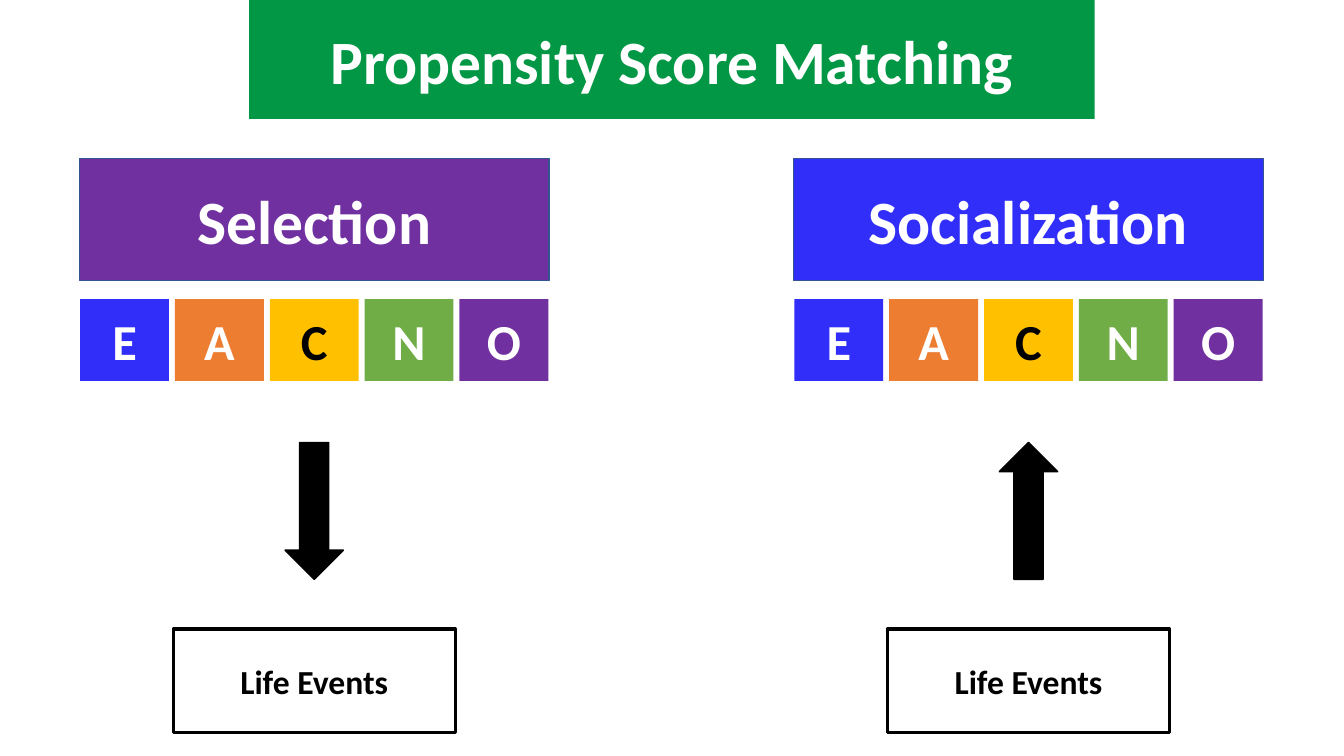
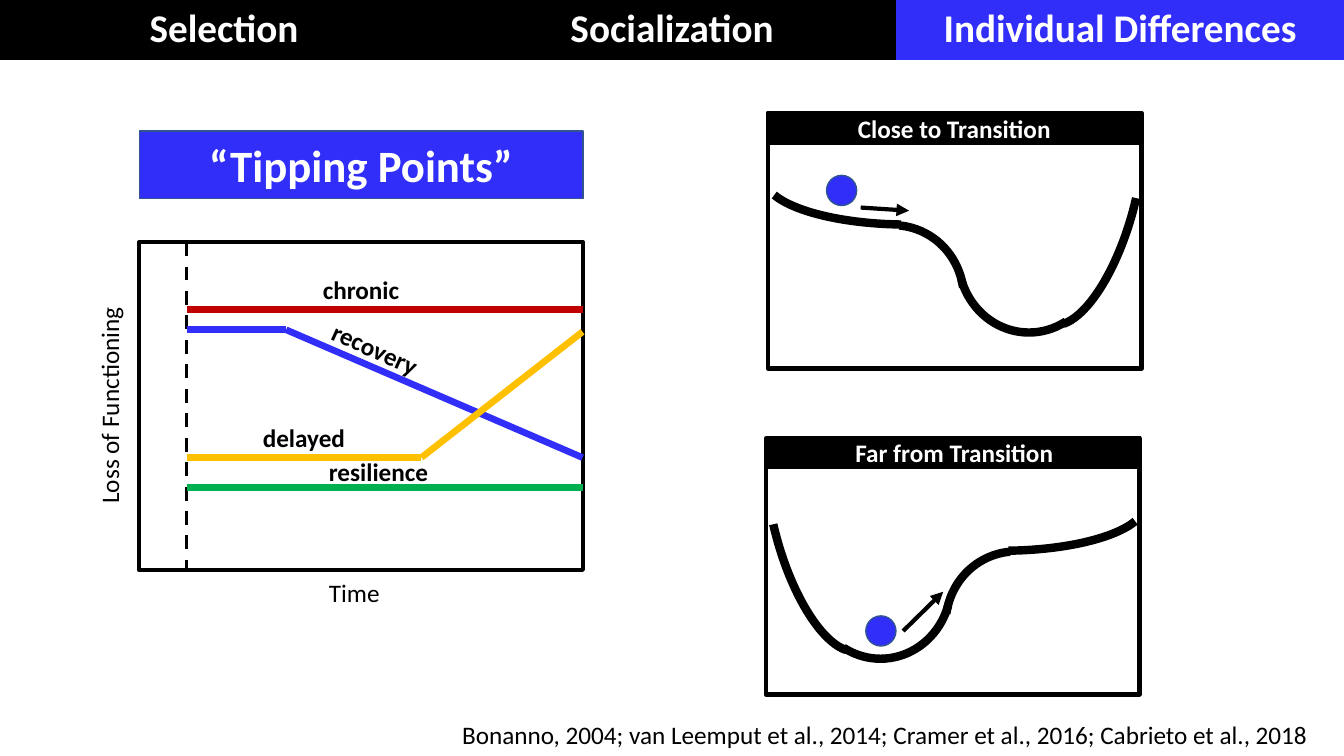
"""Build two slides on life events: score matching and tipping points."""
from lxml.etree import SubElement
from pptx import Presentation
from pptx.dml.color import RGBColor
from pptx.enum.dml import MSO_LINE_DASH_STYLE as Dash
from pptx.enum.shapes import MSO_CONNECTOR as Link, MSO_SHAPE as Form
from pptx.enum.text import MSO_ANCHOR as Anchor, PP_ALIGN as Align
from pptx.oxml.ns import qn
from pptx.util import Cm, Pt

WIDE, HIGH = 33.87, 19.05
FONT = "Calibri"
BLACK, WHITE, EDGE = "000000", "FFFFFF", "325491"
BLUE, PURPLE, ORANGE, GOLD = "302EF8", "7030A0", "ED7D31", "FFC000"
LEAF, GREEN, RED, TEAL = "70AD47", "029745", "C00000", "00B050"

TITLE = "Propensity Score Matching"
PATHS = [
    (2, "Selection", PURPLE, Form.DOWN_ARROW),
    (20, "Socialization", BLUE, Form.UP_ARROW),
]
TRAITS = [("E", BLUE, WHITE), ("A", ORANGE, WHITE), ("C", GOLD, BLACK),
          ("N", LEAF, WHITE), ("O", PURPLE, WHITE)]
EVENTS = "Life Events"
COL, TILE, STEP = 11.84, 2.24, 2.39

TABS = [("Selection", BLACK), ("Socialization", BLACK),
        ("Individual Differences", BLUE)]
TOPIC = "“Tipping Points”"
PLOT = (3.51, 6.1, 11.18, 8.26)
START, END = 4.7, 14.68
CURVES = [
    (RED, [(START, 7.8), (END, 7.8)]),
    (BLUE, [(START, 8.31), (7.21, 8.31), (END, 11.53)]),
    (TEAL, [(START, 12.29), (END, 12.29)]),
    (GOLD, [(START, 11.53), (10.62, 11.53), (END, 8.36)]),
]
LABELS = [("chronic", 7.59, 6.78, 0), ("recovery", 7.95, 8.28, 24.5),
          ("resilience", 8.03, 11.38, 0), ("delayed", 6.15, 10.52, 0)]
NOTES = [
    ("Bonanno, 2004; van Leemput et al., 2014; Cramer et al., 2016; "
     "Cabrieto et al., 2018", (11.4, 18.01, 22.45, 1.02), 0, Align.LEFT),
    ("Loss of Functioning", (-1.68, 8, 8.86, 1.02), 270, Align.LEFT),
    ("Time", (4.5, 14.43, 8.86, 1.02), 0, Align.CENTER),
]

# Each arc: centre, size, turn, upside-down flag, start and end adjustments
ARCS = [
    (25.93, 6.5, 3.76, 3.56, 90, False, 197.91, 43.27),
    (22.47, 7.56, 3.63, 3.78, 16.1, True, 15.62, 60.1),
    (22.86, 4.48, 7.21, 2.36, 180, True, 4.46, 49.53),
    (27.34, 5.03, 6.53, 2.49, 105.4, True, 3.31, 64.24),
]
MIRROR, DROP = 48.12, 8.22
PANELS = [
    dict(name="Close to Transition", flip=False, box=(19.35, 2.84), bar=2.84,
         ball=(20.83, 4.42), push=[(21.69, 5.23), (22.91, 5.31)]),
    dict(name="Far from Transition", flip=True, box=(19.3, 11.05), bar=11,
         ball=(21.82, 15.52), push=[(22.76, 15.9), (23.77, 14.91)]),
]


def rgb(code):
    """Turn a hex string into a colour."""
    return RGBColor.from_string(code)


def write(frame, text, size, color=BLACK, bold=True, align=Align.CENTER):
    """Put one styled paragraph in a text frame."""
    frame.word_wrap = True
    para = frame.paragraphs[0]
    para.text, para.alignment = text, align
    font = para.font
    font.name, font.size, font.bold = FONT, Pt(size), bold
    font.color.rgb = rgb(color)


def shape(slide, form, at, fill=None, line=None, width=1):
    """Add a preset shape with plain fill and line."""
    item = slide.shapes.add_shape(form, *map(Cm, at))
    item.shadow.inherit = False
    if fill:
        item.fill.solid()
        item.fill.fore_color.rgb = rgb(fill)
    else:
        item.fill.background()
    if line:
        item.line.color.rgb = rgb(line)
        item.line.width = Pt(width)
    else:
        item.line.fill.background()
    return item


def block(slide, at, text, size, color=WHITE, **look):
    """Add a rectangle with centred bold text."""
    item = shape(slide, Form.RECTANGLE, at, **look)
    item.text_frame.vertical_anchor = Anchor.MIDDLE
    write(item.text_frame, text, size, color)


def label(slide, text, at, turn=0, **look):
    """Add a text box, turned if asked."""
    box = slide.shapes.add_textbox(*map(Cm, at))
    box.rotation = turn
    write(box.text_frame, text, 18, **look)


def stroke(slide, start, end, color, width):
    """Add a straight line without a shadow."""
    item = slide.shapes.add_connector(Link.STRAIGHT, *map(Cm, (*start, *end)))
    item.line.color.rgb = rgb(color)
    item.line.width = Pt(width)
    SubElement(item._element.spPr, qn("a:effectLst"))
    return item


def bend(slide, arc, flip):
    """Add one arc of a valley, mirrored and lowered if asked."""
    mid, level, wide, high, turn, over, first, last = arc
    if flip:
        mid, level, turn = MIRROR - mid, level + DROP, 360 - turn
    at = (mid - wide / 2, level - high / 2, wide, high)
    item = shape(slide, Form.ARC, at, line=BLACK, width=6)
    item.adjustments[0], item.adjustments[1] = first, last
    item.rotation = turn
    frame = item._element.spPr.find(qn("a:xfrm"))
    for key, used in (("flipH", flip), ("flipV", over)):
        if used:
            frame.set(key, "1")


def panel(slide, name, flip, box, bar, ball, push):
    """Draw a valley with its ball, arrow and heading."""
    for arc in ARCS:
        bend(slide, arc, flip)
    shape(slide, Form.RECTANGLE, (*box, 9.42, 6.45), line=BLACK, width=3)
    shape(slide, Form.OVAL, (*ball, 0.76, 0.76), BLUE, EDGE)
    block(slide, (19.35, bar, 9.4, 0.81), name, 18, fill=BLACK, line=BLACK)
    tip = stroke(slide, *push, BLACK, 3)
    SubElement(tip.line._get_or_add_ln(), qn("a:tailEnd"), type="triangle")


def tabs(slide):
    """Draw the section band as a one-row table."""
    at = map(Cm, (0, 0, WIDE, 1.52))
    table = slide.shapes.add_table(1, len(TABS), *at).table
    table.first_row = table.horz_banding = False
    style = table._tbl.tblPr.find(qn("a:tableStyleId"))
    style.text = "{2D5ABB26-0587-4C30-8999-92F81FD0307C}"
    for cell, (text, fill) in zip(table.rows[0].cells, TABS):
        cell.fill.solid()
        cell.fill.fore_color.rgb = rgb(fill)
        write(cell.text_frame, text, 28, WHITE)


def match(slide):
    """Draw the two matching paths."""
    for left, name, fill, form in PATHS:
        def mid(wide):
            """Centre a width in the column."""
            return left + (COL - wide) / 2

        block(slide, (left, 4, COL, 3.07), name, 44, fill=fill, line=EDGE)
        shape(slide, form, (mid(1.47), 11.15, 1.47, 3.45), BLACK, BLACK)
        block(slide, (mid(7.11), 15.85, 7.11, 2.62), EVENTS, 24, BLACK,
              line=BLACK, width=2.25)
        edge = mid(STEP * (len(TRAITS) - 1) + TILE)
        for i, (text, shade, ink) in enumerate(TRAITS):
            block(slide, (edge + i * STEP, 7.54, TILE, 2.06), text, 36, ink,
                  fill=shade)
    block(slide, ((WIDE - 21.31) / 2, 0, 21.31, 3), TITLE, 44, fill=GREEN)


def tipping(slide):
    """Draw the trajectories and the two valleys."""
    left, top, wide, high = PLOT
    shape(slide, Form.RECTANGLE, PLOT, line=BLACK, width=3)
    event = stroke(slide, (START, top), (START, top + high), BLACK, 2.5)
    event.line.dash_style = Dash.DASH
    for color, points in CURVES:
        for start, end in zip(points, points[1:]):
            stroke(slide, start, end, color, 4.75)
    for text, x, y, turn in LABELS:
        label(slide, text, (x, y, 3.02, 1.02), turn)
    for view in PANELS:
        panel(slide, **view)
    block(slide, (left, 3.3, wide, 1.7), TOPIC, 32, fill=BLUE, line=EDGE)
    tabs(slide)
    for text, at, turn, align in NOTES:
        label(slide, text, at, turn, bold=False, align=align)


def main():
    """Make and save the deck."""
    deck = Presentation()
    deck.slide_width, deck.slide_height = Cm(WIDE), Cm(HIGH)
    for draw in (match, tipping):
        draw(deck.slides.add_slide(deck.slide_layouts[6]))
    deck.save("out.pptx")


if __name__ == "__main__":
    main()
